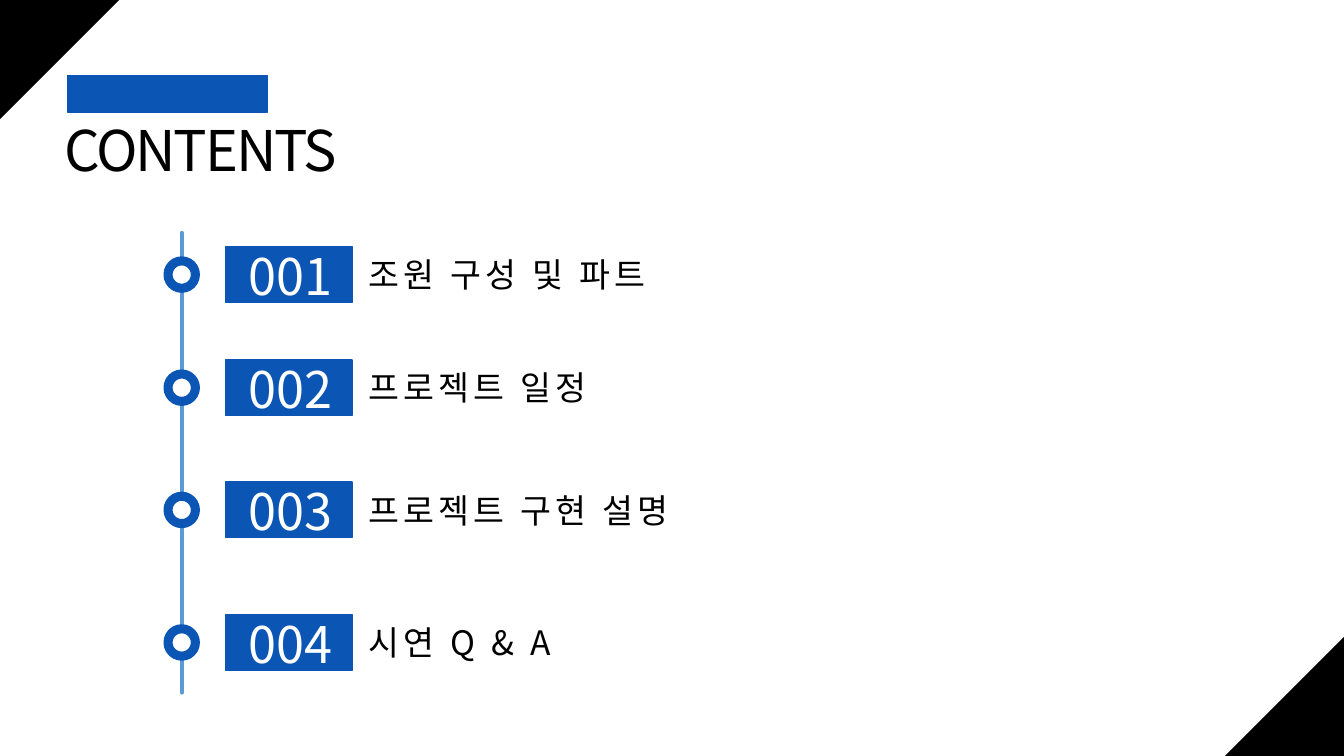
from dataclasses import dataclass

from lxml.etree import SubElement
from pptx import Presentation
from pptx.dml.color import RGBColor
from pptx.enum.shapes import MSO_CONNECTOR, MSO_SHAPE
from pptx.enum.text import MSO_AUTO_SIZE, PP_ALIGN
from pptx.oxml.ns import qn
from pptx.shapes.autoshape import Shape
from pptx.slide import Slide
from pptx.util import Cm, Pt

COLORS = {"blue": "0B55B5", "rail": "5B9BD5", "black": "000000", "white": "FFFFFF"}
FONT = "Noto Sans CJK KR"
RAIL_X = 4.58
RING_SIZE = 0.69
BADGE_LEFT, BADGE_WIDTH, BADGE_HEIGHT = 5.69, 3.18, 1.4
CORNER_SIZE = 3.0
SLIDE_WIDTH, SLIDE_HEIGHT = 33.87, 19.05


@dataclass(frozen=True)
class Box:
    left: float
    top: float
    width: float
    height: float


@dataclass(frozen=True)
class TextStyle:
    size: float
    color: str = "black"
    spacing: float = 0
    align: PP_ALIGN = PP_ALIGN.LEFT


@dataclass(frozen=True)
class Chapter:
    middle: float
    title: str
    title_width: float


TITLE = TextStyle(40, spacing=-1.5)
NUMBER = TextStyle(36, color="white", align=PP_ALIGN.CENTER)
LABEL = TextStyle(24, spacing=3)

CHAPTERS = [
    Chapter(6.92, "조원 구성 및 파트", 8.43),
    Chapter(9.77, "프로젝트 일정", 6.68),
    Chapter(12.85, "프로젝트 구현 설명", 8.99),
    Chapter(16.19, "시연 Q & A", 5.74),
]


def rgb(name: str) -> RGBColor:
    return RGBColor.from_string(COLORS[name])


def draw_shape(slide: Slide, kind: MSO_SHAPE, box: Box, fill: str,
               line: str = "", line_width: float = 1) -> Shape:
    shape = slide.shapes.add_shape(
        kind, Cm(box.left), Cm(box.top), Cm(box.width), Cm(box.height))
    shape.shadow.inherit = False
    shape.fill.solid()
    shape.fill.fore_color.rgb = rgb(fill)
    if line:
        shape.line.color.rgb = rgb(line)
        shape.line.width = Pt(line_width)
    else:
        shape.line.fill.background()
    return shape


def draw_text(slide: Slide, text: str, box: Box, style: TextStyle) -> None:
    frame = slide.shapes.add_textbox(
        Cm(box.left), Cm(box.top), Cm(box.width), Cm(box.height)).text_frame
    frame.word_wrap = False
    frame.auto_size = MSO_AUTO_SIZE.SHAPE_TO_FIT_TEXT
    paragraph = frame.paragraphs[0]
    paragraph.alignment = style.align
    run = paragraph.add_run()
    run.text = text
    run.font.size = Pt(style.size)
    run.font.name = FONT
    run.font.color.rgb = rgb(style.color)
    properties = run.font._element
    SubElement(properties, qn("a:ea")).set("typeface", FONT)
    if style.spacing:
        properties.set("spc", str(round(style.spacing * 100)))


def draw_rail(slide: Slide, top: float, bottom: float) -> None:
    rail = slide.shapes.add_connector(
        MSO_CONNECTOR.STRAIGHT, Cm(RAIL_X), Cm(top), Cm(RAIL_X), Cm(bottom))
    rail.line.color.rgb = rgb("rail")
    rail.line.width = Pt(3)
    rail.line._get_or_add_ln().set("cap", "rnd")
    SubElement(rail._element.spPr, qn("a:effectLst"))


def draw_chapter(slide: Slide, number: int, chapter: Chapter) -> None:
    ring = Box(RAIL_X - RING_SIZE / 2, chapter.middle - RING_SIZE / 2, RING_SIZE, RING_SIZE)
    draw_shape(slide, MSO_SHAPE.OVAL, ring, "white", "blue", 6.5)
    badge = Box(BADGE_LEFT, chapter.middle - BADGE_HEIGHT / 2, BADGE_WIDTH, BADGE_HEIGHT)
    draw_shape(slide, MSO_SHAPE.RECTANGLE, badge, "blue", "blue")
    draw_text(slide, f"{number:03}", Box(5.89, chapter.middle - 0.87, 2.87, 1.8), NUMBER)
    draw_text(slide, chapter.title,
              Box(9.04, chapter.middle - 0.64, chapter.title_width, 1.27), LABEL)


def main() -> None:
    """Build the contents slide with its numbered chapter timeline."""
    deck = Presentation()
    deck.slide_width, deck.slide_height = Cm(SLIDE_WIDTH), Cm(SLIDE_HEIGHT)
    slide = deck.slides.add_slide(deck.slide_layouts[6])

    for left, top, rotation in (
        (0, 0, 90),
        (SLIDE_WIDTH - CORNER_SIZE, SLIDE_HEIGHT - CORNER_SIZE, 270),
    ):
        corner = draw_shape(slide, MSO_SHAPE.RIGHT_TRIANGLE,
                            Box(left, top, CORNER_SIZE, CORNER_SIZE), "black")
        corner.rotation = rotation

    draw_rail(slide, 5.87, 17.45)
    for number, chapter in enumerate(CHAPTERS, start=1):
        draw_chapter(slide, number, chapter)

    draw_text(slide, "CONTENTS", Box(1.37, 2.79, 7.49, 1.96), TITLE)
    draw_shape(slide, MSO_SHAPE.RECTANGLE, Box(1.7, 1.91, 5.05, 0.91), "blue", "blue")
    deck.save("out.pptx")


if __name__ == "__main__":
    main()
